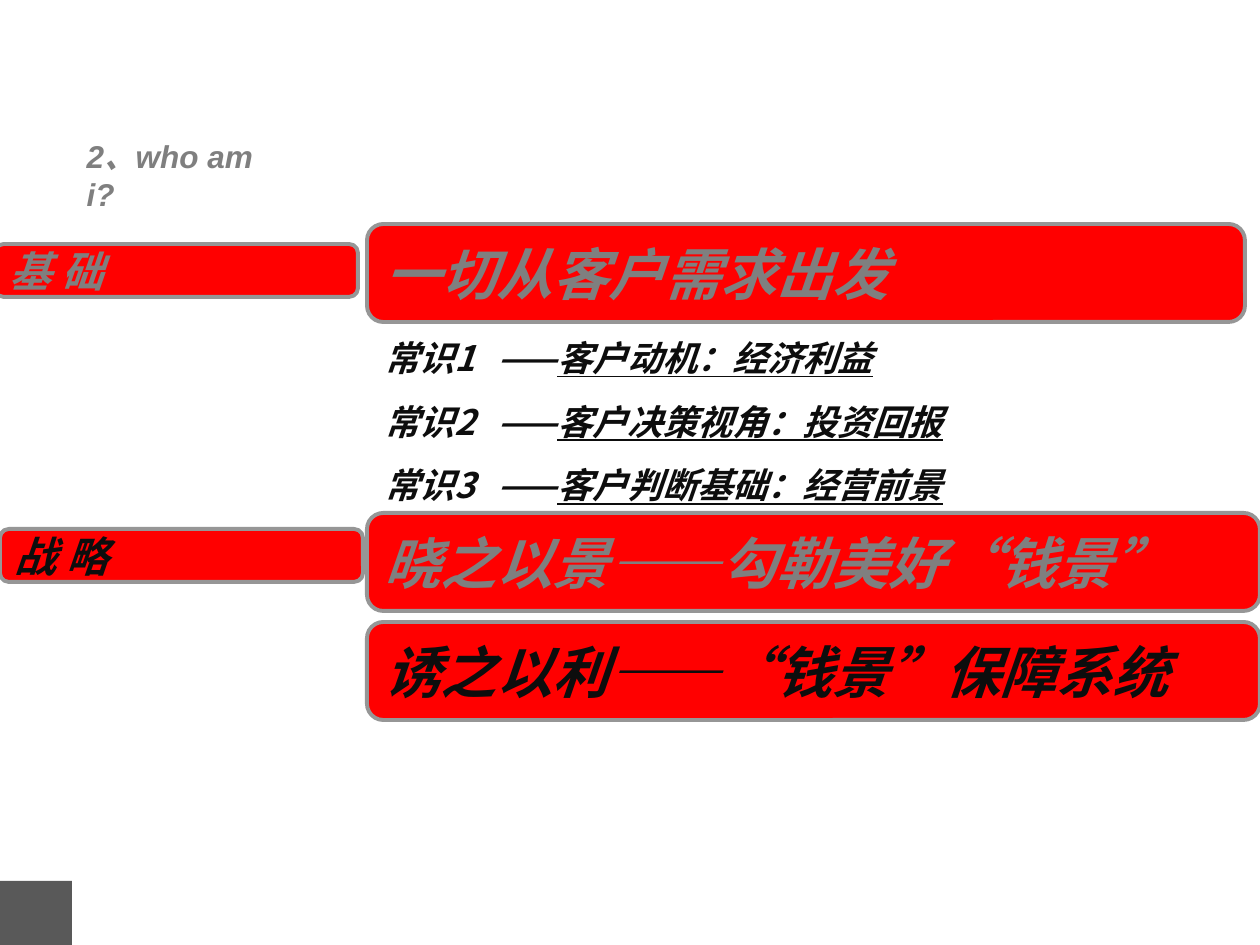
from pptx import Presentation
from pptx.dml.color import RGBColor
from pptx.enum.shapes import MSO_SHAPE
from pptx.enum.text import MSO_ANCHOR, PP_ALIGN
from pptx.oxml.ns import qn
from pptx.util import Emu, Pt
from lxml.etree import SubElement

PX_PER_INCH = 126
CJK = "Noto Sans CJK SC"
RED, BORDER, GREY, INK = "FF0000", "969696", "7F7F7F", "0D0D0D"


def px(length):
    return Emu(round(length * 914400 / PX_PER_INCH))


def color(value):
    return RGBColor.from_string(value)


def write(paragraph, text, size, fill, font=CJK, underline=False):
    run = paragraph.add_run()
    run.text = text
    run.font.size = Pt(size)
    run.font.bold = run.font.italic = True
    run.font.underline = underline
    run.font.color.rgb = color(fill)
    run.font.name = font
    SubElement(run.font._element, qn("a:ea")).set("typeface", CJK)
    paragraph.alignment = PP_ALIGN.LEFT


def set_tab(paragraph, position):
    tabs = SubElement(paragraph._p.get_or_add_pPr(), qn("a:tabLst"))
    tab = SubElement(tabs, qn("a:tab"))
    tab.set("pos", str(px(position)))
    tab.set("algn", "l")


def add_block(slide, kind, box, fill, border=None):
    block = slide.shapes.add_shape(kind, *map(px, box))
    block.shadow.inherit = False
    block.fill.solid()
    block.fill.fore_color.rgb = color(fill)
    if border:
        block.line.color.rgb = color(border)
        block.line.width = Pt(2.25)
    else:
        block.line.fill.background()
    return block


def add_banner(slide, box, text, size, ink):
    banner = add_block(slide, MSO_SHAPE.ROUNDED_RECTANGLE, box, RED, BORDER)
    frame = banner.text_frame
    frame.word_wrap = True
    frame.vertical_anchor = MSO_ANCHOR.MIDDLE
    write(frame.paragraphs[0], text, size, ink)


def add_facts(slide, box, facts):
    frame = slide.shapes.add_textbox(*map(px, box)).text_frame
    frame.word_wrap = True
    for number, fact in enumerate(facts, 1):
        paragraph = frame.paragraphs[0] if number == 1 else frame.add_paragraph()
        if number > 1:
            paragraph.space_before = Pt(12.5)
        set_tab(paragraph, 113)
        write(paragraph, f"常识{number}\t——", 20, INK)
        write(paragraph, fact, 20, INK, underline=True)


def set_title(slide, box, text):
    title = slide.shapes.title
    title.left, title.top, title.width, title.height = map(px, box)
    frame = title.text_frame
    frame.word_wrap = True
    frame.vertical_anchor = MSO_ANCHOR.TOP
    frame.margin_right = px(50)
    write(frame.paragraphs[0], text, 18, GREY, font="Arial")


def main():
    deck = Presentation()
    deck.slide_width, deck.slide_height = px(1260), px(945)
    slide = deck.slides.add_slide(deck.slide_layouts[5])

    add_block(slide, MSO_SHAPE.RECTANGLE, (0, 881, 72, 64), "595959")
    set_title(slide, (74, 131, 263, 50), "2、who am i?")

    for top, width, text, ink in (
        (224, 878, "一切从客户需求出发", GREY),
        (513, 893, "晓之以景——勾勒美好“钱景”", GREY),
        (622, 893, "诱之以利——“钱景”保障系统", INK),
    ):
        add_banner(slide, (367, top, width, 98), text, 32, ink)

    for left, top, text, ink in ((-5, 244, "基 础", GREY), (0, 529, "战 略", INK)):
        add_banner(slide, (left, top, 363, 53), text, 24, ink)

    add_facts(slide, (372, 330, 645, 183), (
        "客户动机：经济利益",
        "客户决策视角：投资回报",
        "客户判断基础：经营前景",
    ))
    deck.save("out.pptx")


if __name__ == "__main__":
    main()
